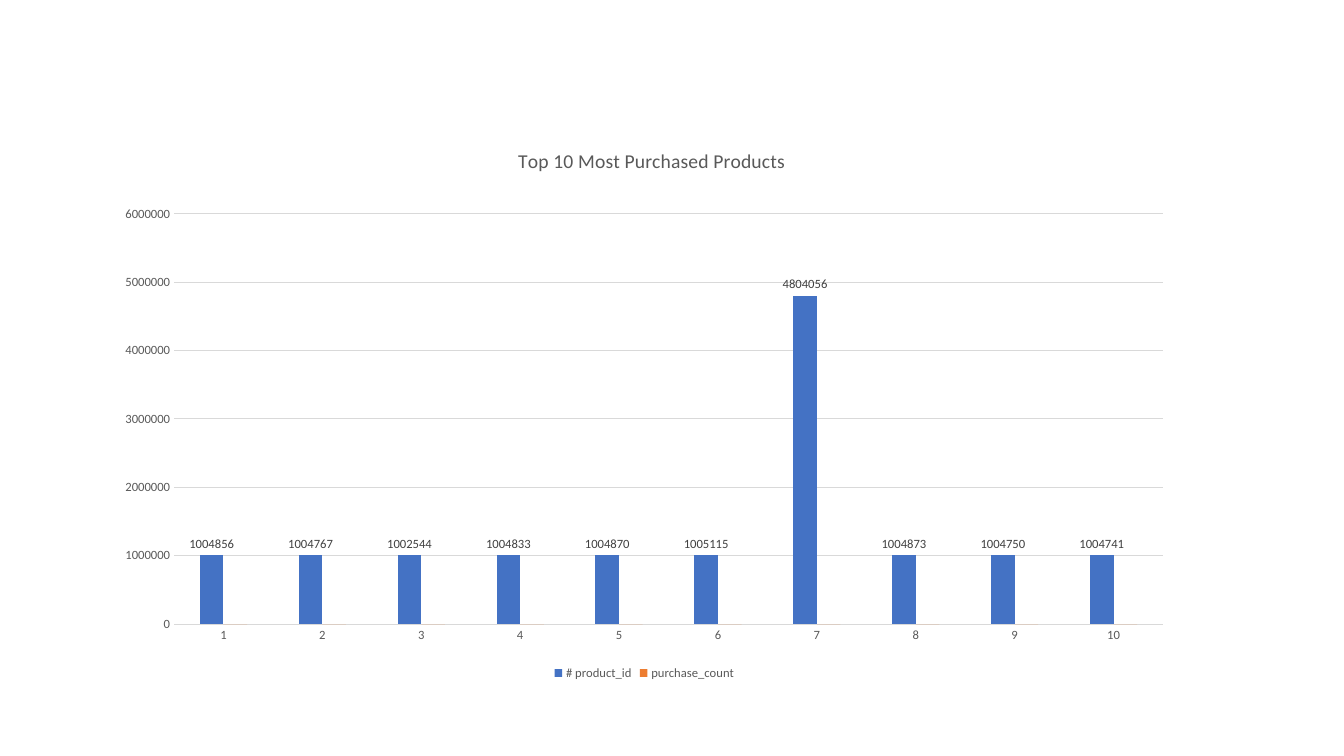
from lxml.etree import SubElement
from pptx import Presentation
from pptx.chart.data import CategoryChartData
from pptx.dml.color import RGBColor
from pptx.enum.chart import XL_CHART_TYPE, XL_LABEL_POSITION, XL_LEGEND_POSITION, XL_TICK_MARK
from pptx.oxml import parse_xml
from pptx.oxml.ns import nsdecls, qn
from pptx.util import Inches, Pt

FONT = "Calibri"
BLUE = RGBColor(0x44, 0x72, 0xC4)
ORANGE = RGBColor(0xED, 0x7D, 0x31)
BLACK = RGBColor(0, 0, 0)
DARK_GRAY = RGBColor(0x40, 0x40, 0x40)
GRAY = RGBColor(0x59, 0x59, 0x59)
LIGHT_GRAY = RGBColor(0xD9, 0xD9, 0xD9)
PRODUCT_IDS = [1004856, 1004767, 1002544, 1004833, 1004870,
               1005115, 4804056, 1004873, 1004750, 1004741]


def style_font(font, size, color):
    font.name = FONT
    font.size = Pt(size)
    font.bold = False
    font.color.rgb = color


def style_line(line, color):
    line.color.rgb = color
    line.width = Pt(0.75)


def place(part, before, **shares):
    for stale in part.findall(qn("c:layout")):
        part.remove(stale)
    layout = parse_xml(f"<c:layout {nsdecls('c')}/>")
    manual = SubElement(layout, qn("c:manualLayout"))
    if "w" in shares:
        SubElement(manual, qn("c:layoutTarget")).set("val", "inner")
    for side in ("x", "y"):
        SubElement(manual, qn(f"c:{side}Mode")).set("val", "edge")
    for side, share in shares.items():
        SubElement(manual, qn(f"c:{side}")).set("val", str(share))
    part.insert(before, layout)


def add_title(chart, text):
    title = chart.chart_title
    heading = title.text_frame.paragraphs[0].add_run()
    heading.text = text
    style_font(heading.font, 14, GRAY)
    title.include_in_layout = False
    place(chart.element.find(".//" + qn("c:title")), 1, x=0.38, y=0.04)


def style_axes(chart):
    for axis in (chart.category_axis, chart.value_axis):
        axis.major_tick_mark = XL_TICK_MARK.NONE
        axis.minor_tick_mark = XL_TICK_MARK.NONE
        style_font(axis.tick_labels.font, 9, GRAY)
    products, amounts = chart.category_axis, chart.value_axis
    style_line(products.format.line, LIGHT_GRAY)
    amounts.format.line.fill.background()
    amounts.minimum_scale, amounts.maximum_scale = 0, 6000000
    amounts.major_unit = 1000000
    style_line(amounts.major_gridlines.format.line, LIGHT_GRAY)


def style_columns(plot):
    plot.gap_width = 219
    plot.overlap = 0
    plot.vary_by_categories = False
    for columns, color in zip(plot.series, (BLUE, ORANGE)):
        columns.format.fill.solid()
        columns.format.fill.fore_color.rgb = color
        columns.invert_if_negative = False
    labels = plot.series[0].data_labels
    labels.show_value = True
    labels.position = XL_LABEL_POSITION.OUTSIDE_END
    style_font(labels.font, 9, DARK_GRAY)


def add_legend(chart):
    chart.has_legend = True
    chart.legend.position = XL_LEGEND_POSITION.BOTTOM
    chart.legend.include_in_layout = False
    style_font(chart.legend.font, 9, GRAY)


def add_purchases_chart(slide):
    purchases = CategoryChartData()
    purchases.categories = [str(rank) for rank in range(1, 11)]
    purchases.add_series("# product_id", PRODUCT_IDS)
    purchases.add_series("purchase_count", [0] * len(PRODUCT_IDS))
    chart = slide.shapes.add_chart(
        XL_CHART_TYPE.COLUMN_CLUSTERED, Inches(1.03), Inches(1.2),
        Inches(10.72), Inches(5.59), purchases).chart
    style_font(chart.font, 10, BLACK)
    add_title(chart, "Top 10 Most Purchased Products")
    style_axes(chart)
    style_columns(chart.plots[0])
    add_legend(chart)
    plot_area = chart.element.find(".//" + qn("c:plotArea"))
    place(plot_area, 0, x=0.065, y=0.165, w=0.915, h=0.728)


def main():
    deck = Presentation()
    deck.slide_width, deck.slide_height = Inches(13.33), Inches(7.5)
    slide = deck.slides.add_slide(deck.slide_layouts[6])
    add_purchases_chart(slide)
    deck.save("out.pptx")


if __name__ == "__main__":
    main()
